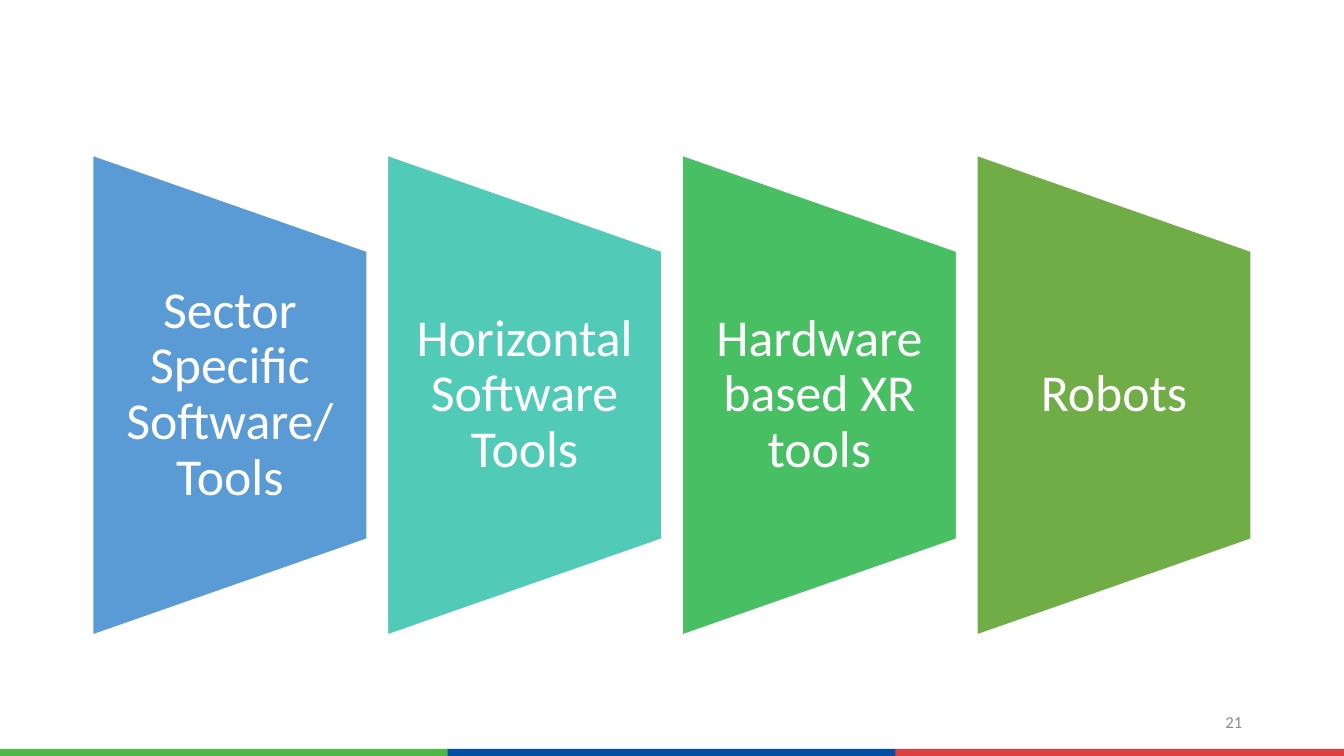
from pptx import Presentation
from pptx.dml.color import RGBColor as Rgb
from pptx.enum.shapes import MSO_SHAPE as Geo
from pptx.enum.text import MSO_ANCHOR as Anchor, PP_ALIGN as Align
from pptx.util import Inches, Pt

COLORS = {
    "white": "FFFFFF", "gray": "8C8C8C",
    "green": "50B848", "navy": "034EA2", "red": "DB3F3F",
    "blue": "5B9BD5", "teal": "52CAB8", "mint": "49BF64", "olive": "70AD47",
}


class Deck:
    """Holds the style and the current slide."""
    font = "Calibri"

    def __init__(self, show):
        self.slide = show.slides.add_slide(show.slide_layouts[6])

    def shape(self, geo, box, fill, line=None, turn=0):
        item = self.slide.shapes.add_shape(geo, *map(Inches, box))
        item.shadow.inherit = False
        item.rotation = turn
        item.fill.solid()
        item.fill.fore_color.rgb = Rgb.from_string(COLORS[fill])
        if line:
            item.line.color.rgb = Rgb.from_string(COLORS[line])
            item.line.width = Pt(1)
        else:
            item.line.fill.background()

    def text(self, words, box, size, color, align, pad=(0.1, 0.05), lead=1.0):
        item = self.slide.shapes.add_textbox(*map(Inches, box))
        frame = item.text_frame
        frame.word_wrap = True
        frame.vertical_anchor = Anchor.MIDDLE
        frame.margin_left = frame.margin_right = Inches(pad[0])
        frame.margin_top = frame.margin_bottom = Inches(pad[1])
        frame.text = words
        para = frame.paragraphs[0]
        para.alignment = align
        para.line_spacing = lead
        font = para.runs[0].font
        font.name = self.font
        font.size = Pt(size)
        font.color.rgb = Rgb.from_string(COLORS[color])


def main():
    show = Presentation()
    show.slide_width, show.slide_height = Inches(13.33), Inches(7.5)
    deck = Deck(show)

    # Footer stripe
    for i, color in enumerate(("green", "navy", "red")):
        deck.shape(Geo.RECTANGLE, (i * 4.44, 7.43, 4.45, 0.08), color)

    # Tool groups: trapezoids turned to narrow rightwards
    tools = (
        ("Sector Specific Software/ Tools", "blue"),
        ("Horizontal Software Tools", "teal"),
        ("Hardware based XR tools", "mint"),
        ("Robots", "olive"),
    )
    left, mid, step = 0.92, 3.92, 2.923
    wide, tall, high = 2.72, 4.76, 2.86
    for i, (words, color) in enumerate(tools):
        x = left + i * step
        box = (x + (wide - tall) / 2, mid - wide / 2, tall, wide)
        deck.shape(Geo.FLOWCHART_MANUAL_OPERATION, box, color, "white", 270)
        deck.text(words, (x, mid - high / 2, wide, high), 37, "white",
                  Align.CENTER, (0.26, 0), 0.9)

    # Page number
    deck.text("21", (9.42, 6.96, 3, 0.4), 12, "gray", Align.RIGHT)

    show.save("out.pptx")


if __name__ == "__main__":
    main()
